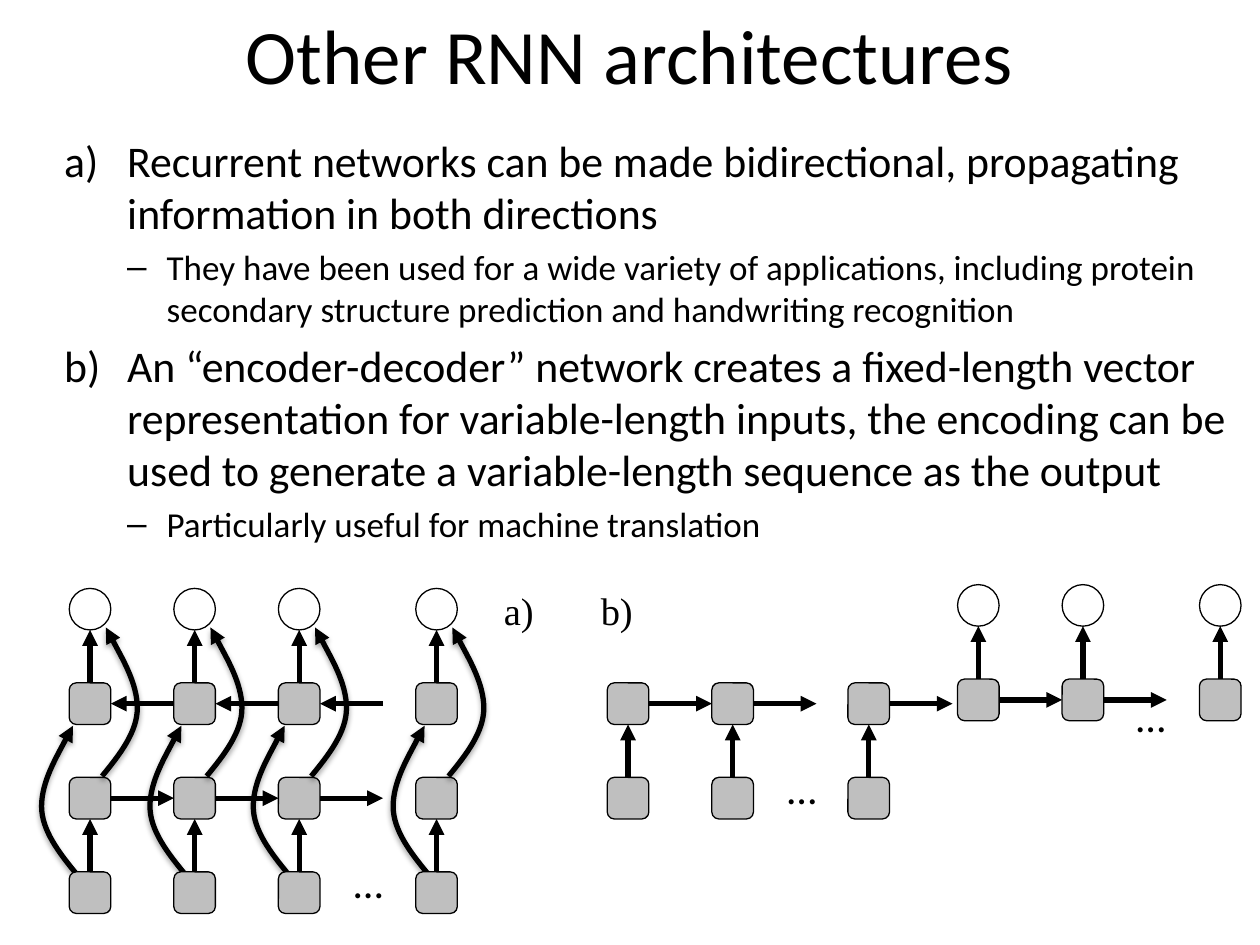
from dataclasses import dataclass

from pptx import Presentation
from pptx import util as u
from pptx.dml.color import RGBColor
from pptx.enum import shapes, text
from pptx.oxml.ns import qn
from lxml import etree


@dataclass(frozen=True)
class Theme:
    ink: RGBColor = RGBColor(0x00, 0x00, 0x00)
    hidden_fill: RGBColor = RGBColor(0xBF, 0xBF, 0xBF)
    font: str = "Calibri"
    label_font: str = "Times New Roman"
    title: float = 44
    levels: tuple = (25, 20)
    dots: float = 24
    label: float = 22
    outline: float = 0.75
    arrow: float = 3


T = Theme()
NODE, STEP, ROW, REACH = 0.33, 0.83, 0.75, 0.5
HIDDEN = shapes.MSO_SHAPE.ROUNDED_RECTANGLE
OUTPUT = shapes.MSO_SHAPE.OVAL

TITLE = "Other RNN architectures"
POINTS = [
    (0, "Recurrent networks can be made bidirectional, propagating "
        "information in both directions"),
    (1, "They have been used for a wide variety of applications, including "
        "protein secondary structure prediction and handwriting recognition"),
    (0, "An “encoder-decoder” network creates a fixed-length vector "
        "representation for variable-length inputs, the encoding can be used "
        "to generate a variable-length sequence as the output"),
    (1, "Particularly useful for machine translation"),
]


def place(sp, x, y, w, h):
    sp.left, sp.top, sp.width, sp.height = map(u.Inches, (x, y, w, h))


def set_font(p, name, size):
    p.font.name, p.font.size = name, u.Pt(size)
    p.font.color.rgb = T.ink


def style_arrow(line):
    line.color.rgb = T.ink
    line.width = u.Pt(T.arrow)
    etree.SubElement(line._get_or_add_ln(), qn("a:tailEnd"), type="triangle")


def arrow(s, x1, y1, x2, y2):
    c = s.shapes.add_connector(shapes.MSO_CONNECTOR.STRAIGHT,
                               *map(u.Inches, (x1, y1, x2, y2)))
    style_arrow(c.line)
    etree.SubElement(c._element.spPr, qn("a:effectLst"))


def skip_arrow(s, x, y, side):
    """Curve up from (x, y) past one row, bulging left (-1) or right (1)."""
    bends = [(0.14, -0.17), (0.28, -0.35), (0.28, -0.54),
             (0.28, -0.74), (0.03, -1.18), (0.03, -1.18)]
    fb = s.shapes.build_freeform(u.Inches(x), u.Inches(y))
    fb.add_line_segments([(u.Inches(x + side * dx), u.Inches(y + dy))
                          for dx, dy in bends], close=False)
    sp = fb.convert_to_shape()
    sp.fill.background()
    style_arrow(sp.line)
    # Each three line ends become the control points of one cubic curve.
    path = sp._element.spPr.find(".//" + qn("a:path"))
    ends = path.findall(qn("a:lnTo"))
    for i in range(0, len(ends), 3):
        curve = etree.SubElement(path, qn("a:cubicBezTo"))
        for end in ends[i:i + 3]:
            curve.append(end[0])
            path.remove(end)


def node_row(s, x, y, cols, kind):
    for col in cols:
        sp = s.shapes.add_shape(
            kind, *map(u.Inches, (x + col, y, NODE, NODE)))
        sp.shadow.inherit = False
        if kind == HIDDEN:
            sp.fill.solid()
            sp.fill.fore_color.rgb = T.hidden_fill
        else:
            sp.fill.background()
        sp.line.color.rgb = T.ink
        sp.line.width = u.Pt(T.outline)


def up_arrows(s, x, y, cols):
    """Link the row at y to the row above it."""
    for col in cols:
        mid = x + col + NODE / 2
        arrow(s, mid, y, mid, y - ROW + NODE)


def time_arrows(s, x, y, cols, backward=False):
    for col in cols:
        ends = [x + col + NODE, x + col + NODE + REACH]
        if backward:
            ends.reverse()
        arrow(s, ends[0], y + NODE / 2, ends[1], y + NODE / 2)


def caption(s, x, y, w, h, words, font, size):
    tb = s.shapes.add_textbox(*map(u.Inches, (x, y, w, h)))
    tb.text_frame.word_wrap = True
    p = tb.text_frame.paragraphs[0]
    p.text = words
    set_font(p, font, size)


def dots(s, x, y):
    caption(s, x, y, 0.5, 0.5, "…", T.font, T.dots)


def label(s, x, y, words):
    caption(s, x, y, 0.6, 0.47, words, T.label_font, T.label)


def title(s, x, y, w, h):
    sp = s.shapes.title
    place(sp, x, y, w, h)
    tf = sp.text_frame
    tf.text = TITLE
    tf.vertical_anchor = text.MSO_ANCHOR.TOP
    tf.auto_size = text.MSO_AUTO_SIZE.NONE
    set_font(tf.paragraphs[0], T.font, T.title)


def points(s, x, y, w, h):
    sp = s.placeholders[1]
    place(sp, x, y, w, h)
    tf = sp.text_frame
    tf.auto_size = text.MSO_AUTO_SIZE.NONE
    for i, (level, words) in enumerate(POINTS):
        p = tf.add_paragraph() if i else tf.paragraphs[0]
        p.text, p.level = words, level
        set_font(p, T.font, T.levels[level])
        if level == 0:
            pPr = p._p.get_or_add_pPr()
            pPr.set("marL", str(u.Inches(0.5)))
            pPr.set("indent", str(u.Inches(-0.5)))
            pPr.insert_element_before(
                pPr.makeelement(qn("a:buAutoNum"), {"type": "alphaLcParenR"}),
                "a:tabLst", "a:defRPr", "a:extLst")


def bidirectional(s, x, y):
    cols = (0, STEP, 2 * STEP, 2.75)
    outputs, backward, forward, inputs = (y + i * ROW for i in range(4))
    for col, start in zip(cols, (0.06, 0.09, 0.08, 0.1)):
        skip_arrow(s, x + col + start, inputs + 0.02, -1)
    node_row(s, x, outputs, cols, OUTPUT)
    for top in (backward, forward, inputs):
        node_row(s, x, top, cols, HIDDEN)
    for top in (backward, inputs):
        up_arrows(s, x, top, cols)
    time_arrows(s, x, backward, cols[:-1], backward=True)
    time_arrows(s, x, forward, cols[:-1])
    for col in cols:
        skip_arrow(s, x + col + 0.26, forward - 0.01, 1)
    dots(s, x + 2.16, inputs - 0.17)
    label(s, x + 3.35, y - 0.06, "a)")


def encoder(s, x, y):
    cols = (0, STEP, 1.91)
    for top in (y, y + ROW):
        node_row(s, x, top, cols, HIDDEN)
    up_arrows(s, x, y + ROW, cols)
    time_arrows(s, x, y, cols)
    dots(s, x + 1.33, y + 0.58)
    label(s, x - 0.15, y - 0.81, "b)")


def decoder(s, x, y):
    cols = (0, STEP, 1.92)
    node_row(s, x, y, cols, OUTPUT)
    node_row(s, x, y + ROW, cols, HIDDEN)
    up_arrows(s, x, y + ROW, cols)
    time_arrows(s, x, y + ROW, cols[:-1])
    dots(s, x + 1.32, y + 0.79)


def main():
    prs = Presentation()
    prs.slide_width, prs.slide_height = u.Inches(10), u.Inches(7.5)
    s = prs.slides.add_slide(prs.slide_layouts[1])
    title(s, 0.5, 0.01, 9, 1.25)
    points(s, 0.41, 1.01, 9.5, 3.84)
    bidirectional(s, 0.55, 4.67)
    encoder(s, 4.82, 5.42)
    decoder(s, 7.6, 4.64)
    prs.save("out.pptx")


if __name__ == "__main__":
    main()
